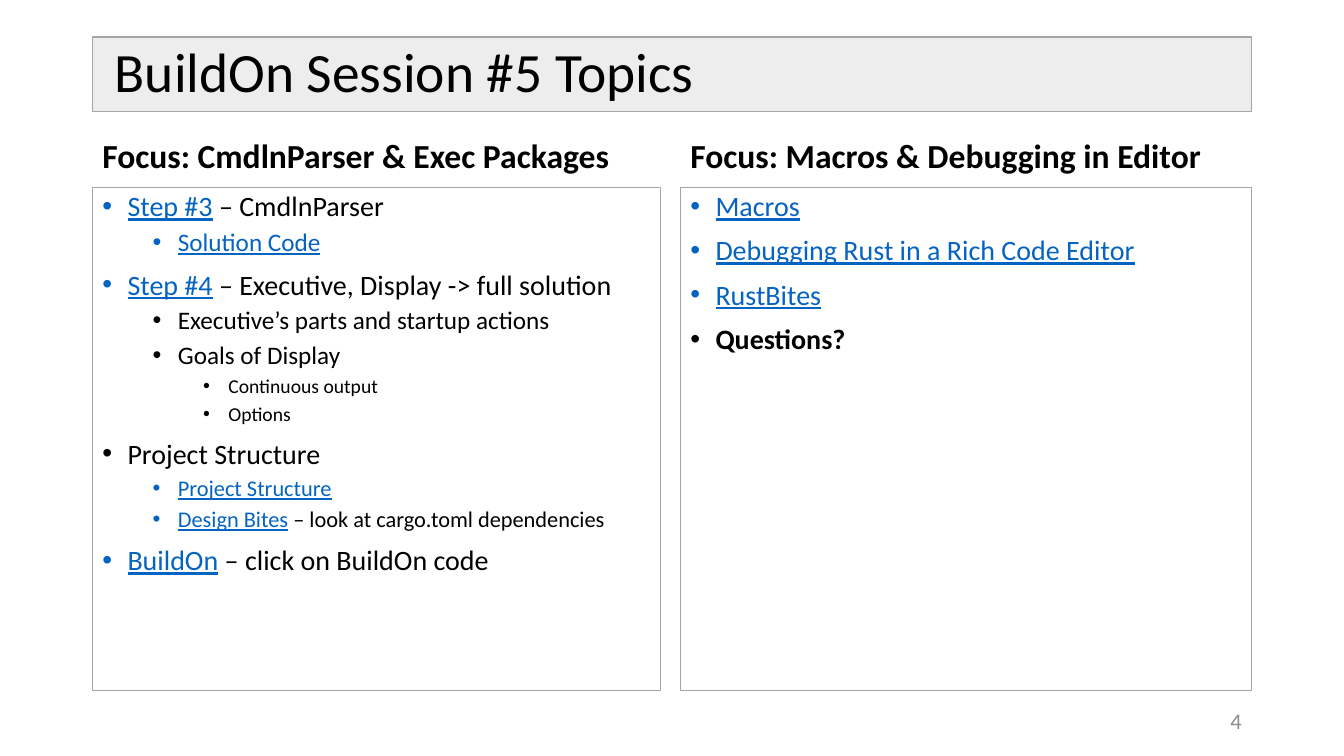
from lxml.etree import SubElement as Sub
from pptx import Presentation
from pptx.dml.color import RGBColor as Rgb
from pptx.enum.shapes import MSO_SHAPE as Shape
from pptx.enum.text import MSO_ANCHOR as Anchor, PP_ALIGN as Align
from pptx.oxml.ns import qn
from pptx.util import Pt

BLACK, BLUE, GRAY = "000000", "0563C1", "A5A5A5"


def box(left, top, width, height, anchor, fill=None):
    area = [Pt(n) for n in (left, top, width, height)]
    if fill:
        shape = slide.shapes.add_shape(Shape.RECTANGLE, *area)
        shape.shadow.inherit = False
        shape.fill.solid()
        shape.fill.fore_color.rgb = Rgb.from_string(fill)
        shape.line.color.rgb = Rgb.from_string(GRAY)
        shape.line.width = Pt(1)
    else:
        shape = slide.shapes.add_textbox(*area)
    frame = shape.text_frame
    frame.word_wrap = True
    frame.vertical_anchor = anchor
    frame.paragraphs[0].alignment = Align.LEFT
    return frame


def write(par, text, size, color=BLACK, bold=False, line=False):
    run = par.add_run()
    run.text = text
    font = run.font
    font.name = "Calibri"
    font.size = Pt(size)
    font.bold = bold
    font.underline = line
    font.color.rgb = Rgb.from_string(color)


deck = Presentation()
deck.slide_width, deck.slide_height = Pt(960), Pt(540)
slide = deck.slides.add_slide(deck.slide_layouts[6])

title = box(66, 26.6, 828, 53.3, Anchor.MIDDLE, "EDEDED")
title.margin_left = Pt(16.1)
title.paragraphs[0].line_spacing = 0.9
write(title.paragraphs[0], "BuildOn Session #5 Topics", 39.6)

steps = [
    (0, 20, "Step #3", " – CmdlnParser"),
    (1, 18, "Solution Code", ""),
    (0, 20, "Step #4", " – Executive, Display -> full solution"),
    (1, 18, "", "Executive’s parts and startup actions"),
    (1, 18, "", "Goals of Display"),
    (2, 14, "", "Continuous output"),
    (2, 14, "", "Options"),
    (0, 20, "", "Project Structure"),
    (1, 16, "Project Structure", ""),
    (1, 16, "Design Bites", " – look at cargo.toml dependencies"),
    (0, 20, "BuildOn", " – click on BuildOn code"),
]
tools = [
    (0, 20, "Macros", ""),
    (0, 20, "Debugging Rust in a Rich Code Editor", ""),
    (0, 20, "RustBites", ""),
    (0, 20, "", "Questions?"),
]
columns = [
    (66, 406, "Focus: CmdlnParser & Exec Packages", steps),
    (486, 408, "Focus: Macros & Debugging in Editor", tools),
]

for left, width, focus, items in columns:
    head = box(left, 90.7, width, 38.2, Anchor.BOTTOM)
    head.paragraphs[0].line_spacing = 0.9
    write(head.paragraphs[0], focus, 24, bold=True)

    body = box(left, 133.9, width, 359.3, Anchor.TOP, "FFFFFF")
    for i, (level, size, link, plain) in enumerate(items):
        par = body.add_paragraph() if i else body.paragraphs[0]
        par.alignment = Align.LEFT
        par.level = level
        par.line_spacing = 0.9
        if i:
            par.space_before = Pt(5 if level else 10)
        props = par._p.get_or_add_pPr()
        props.set("marL", str(Pt(18 + 36 * level)))
        props.set("indent", str(Pt(-18)))
        tint = Sub(props, qn("a:buClr"))
        Sub(tint, qn("a:srgbClr"), val=BLUE if link else BLACK)
        Sub(props, qn("a:buFont"), typeface="Arial")
        Sub(props, qn("a:buChar"), char="•")
        if link:
            write(par, link, size, BLUE, line=True)
        if plain:
            write(par, plain, size, bold=plain == "Questions?")

number = box(678, 500.5, 216, 28.8, Anchor.MIDDLE)
number.paragraphs[0].alignment = Align.RIGHT
write(number.paragraphs[0], "4", 16, "8C8C8C")

deck.save("out.pptx")
